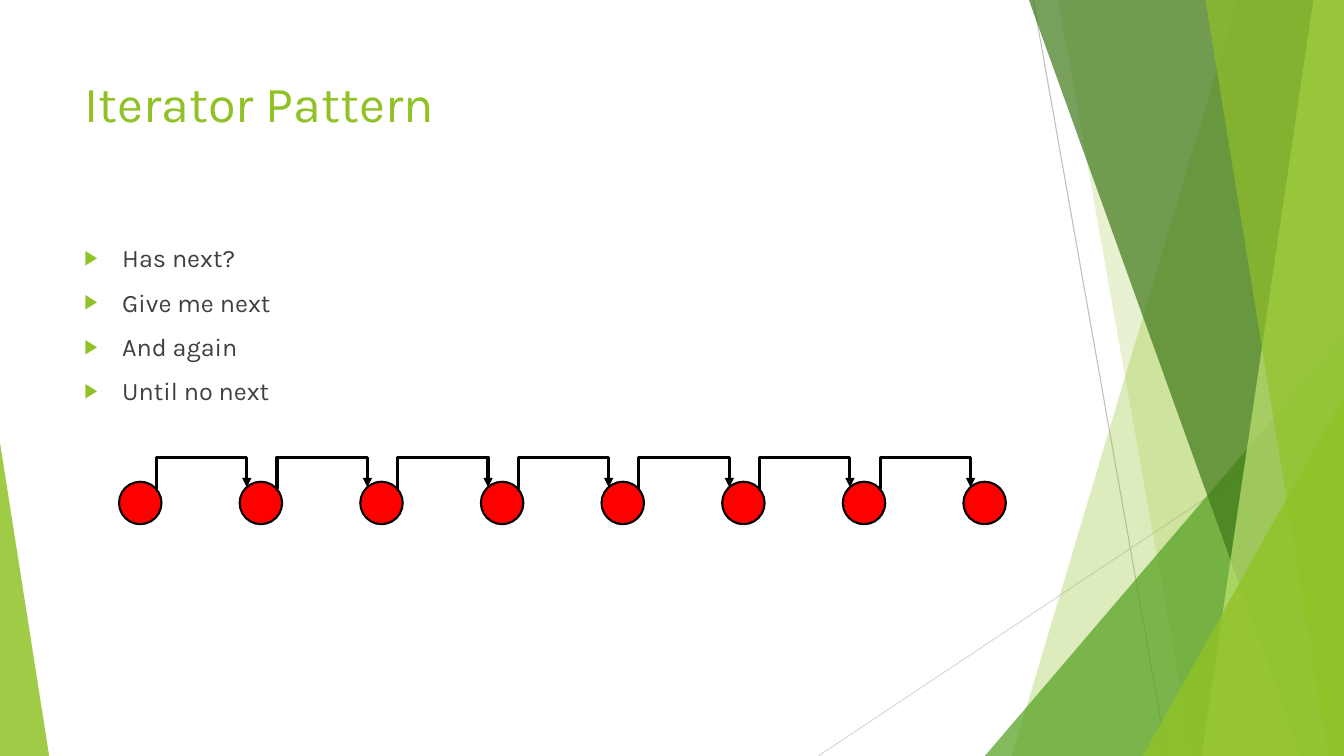
from dataclasses import dataclass

from lxml.etree import SubElement
from pptx import Presentation
from pptx.dml.color import RGBColor
from pptx.enum.shapes import MSO_CONNECTOR, MSO_SHAPE
from pptx.oxml.ns import qn
from pptx.util import Cm, Pt

W, H = 33.87, 19.05
FONT = "Karla"
COLORS = {
    "lime": "90C226", "green": "54A021", "forest": "3F7819", "pale": "C0E474",
    "text": "404040", "red": "FF0000", "black": "000000",
    "grey": "BFBFBF", "silver": "D9D9D9",
}


@dataclass
class Band:
    """Runs from a slanted left edge to the right side of the slide."""
    top_x: float
    bottom_x: float
    color: str
    alpha: int


@dataclass
class Corner:
    """Right triangle standing on the bottom of the slide."""
    left: float
    width: float
    height: float
    apex: float
    color: str
    alpha: int


FACETS = [
    Band(31.19, 25.5, "lime", 30),
    Band(26.67, 30.05, "lime", 20),
    Corner(24.82, 9.05, 10.59, 1, "green", 72),
    Band(25.93, 32.79, "forest", 70),
    Band(33.1, 30.28, "pale", 70),
    Band(30.38, 33.48, "lime", 65),
    Corner(28.8, 5.07, 9.07, 1, "lime", 80),
    Corner(0, 1.24, 7.9, 0, "lime", 85),
]
STEPS = ["Has next?", "Give me next", "And again", "Until no next"]

# Chain of nodes
NODES, NODE_X, NODE_Y, NODE_SIZE, PITCH = 8, 3.0, 12.14, 1.07, 3.04
ARROW_DX, ARROW_SPAN, ARROW_START_Y = 0.94, 2.28, 12.32
ARROW_DROP, ARROW_RISE = 0.04, 0.8


def rgb(name: str) -> RGBColor:
    return RGBColor.from_string(COLORS[name])


def paint(sp, color: str, alpha: int = 100) -> None:
    sp.shadow.inherit = False
    sp.fill.solid()
    sp.fill.fore_color.rgb = rgb(color)
    if alpha < 100:
        clr = sp.fill._xPr.find(qn("a:solidFill"))[0]
        SubElement(clr, qn("a:alpha"), val=str(alpha * 1000))
    sp.line.fill.background()


def add_facet(s, facet: Band | Corner) -> None:
    if isinstance(facet, Band):
        builder = s.shapes.build_freeform(Cm(facet.top_x), 0)
        builder.add_line_segments(
            [(Cm(W), 0), (Cm(W), Cm(H)), (Cm(facet.bottom_x), Cm(H))], close=True)
        sp = builder.convert_to_shape()
    else:
        sp = s.shapes.add_shape(
            MSO_SHAPE.ISOSCELES_TRIANGLE, Cm(facet.left), Cm(H - facet.height),
            Cm(facet.width), Cm(facet.height))
        sp.adjustments[0] = facet.apex
    paint(sp, facet.color, facet.alpha)


def add_line(s, x1: float, y1: float, x2: float, y2: float, color: str,
             width: float, kind=MSO_CONNECTOR.STRAIGHT):
    cn = s.shapes.add_connector(kind, Cm(x1), Cm(y1), Cm(x2), Cm(y2))
    cn.line.color.rgb = rgb(color)
    cn.line.width = Pt(width)
    SubElement(cn._element.spPr, qn("a:effectLst"))
    return cn


def add_hop(s, x: float) -> None:
    """Elbow arrow that rises from one node and drops onto the next."""
    # The frame is drawn upright about its centre, then turned a quarter
    cx, cy = x + ARROW_SPAN / 2, ARROW_START_Y - ARROW_DROP / 2
    dx, dy = ARROW_DROP / 2, ARROW_SPAN / 2
    cn = add_line(s, cx + dx, cy + dy, cx - dx, cy - dy, "black", 2.25,
                  MSO_CONNECTOR.ELBOW)
    spPr = cn._element.spPr
    spPr.find(qn("a:xfrm")).set("rot", str(90 * 60000))
    guides = spPr.find(qn("a:prstGeom")).find(qn("a:avLst"))
    bend = round(ARROW_RISE / ARROW_DROP * 100000)
    SubElement(guides, qn("a:gd"), name="adj1", fmla=f"val {bend}")
    SubElement(spPr.find(qn("a:ln")), qn("a:tailEnd"), type="triangle")


def add_bullet(p) -> None:
    pPr = p._p.get_or_add_pPr()
    pPr.set("marL", str(Cm(0.95)))
    pPr.set("indent", str(-Cm(0.95)))
    SubElement(SubElement(pPr, qn("a:buClr")), qn("a:srgbClr"), val=COLORS["lime"])
    SubElement(pPr, qn("a:buSzPct"), val="80000")
    SubElement(pPr, qn("a:buFont"), typeface="Arial")
    SubElement(pPr, qn("a:buChar"), char="▶")


def add_text(s, lines: list[str], left: float, top: float, width: float,
             height: float, *, size: float, color: str, before: float = 0,
             bullets: bool = False) -> None:
    tf = s.shapes.add_textbox(Cm(left), Cm(top), Cm(width), Cm(height)).text_frame
    tf.word_wrap = True
    for i, line in enumerate(lines):
        p = tf.add_paragraph() if i else tf.paragraphs[0]
        p.space_before = Pt(before)
        if bullets:
            add_bullet(p)
        r = p.add_run()
        r.text = line
        r.font.name = FONT
        r.font.size = Pt(size)
        r.font.color.rgb = rgb(color)


def main() -> None:
    prs = Presentation()
    prs.slide_width, prs.slide_height = Cm(W), Cm(H)
    s = prs.slides.add_slide(prs.slide_layouts[6])

    # Backdrop
    add_line(s, 26.04, 0, 29.41, H, "grey", 0.75)
    add_line(s, W, 10.24, 20.62, H, "silver", 0.75)
    for facet in FACETS:
        add_facet(s, facet)

    # Title and steps
    add_text(s, ["Iterator Pattern"], 1.88, 1.7, 23.88, 3.66, size=36, color="lime")
    add_text(s, STEPS, 1.88, 5.99, 6.3, 5.51, size=18, color="text", before=10,
             bullets=True)

    # Nodes, then the hops between them
    node_xs = [NODE_X + i * PITCH for i in range(NODES)]
    for x in node_xs:
        sp = s.shapes.add_shape(MSO_SHAPE.OVAL, Cm(x), Cm(NODE_Y),
                                Cm(NODE_SIZE), Cm(NODE_SIZE))
        paint(sp, "red")
        sp.line.color.rgb = rgb("black")
        sp.line.width = Pt(1.5)
    for x in node_xs[:-1]:
        add_hop(s, x + ARROW_DX)

    prs.save("out.pptx")


if __name__ == "__main__":
    main()
